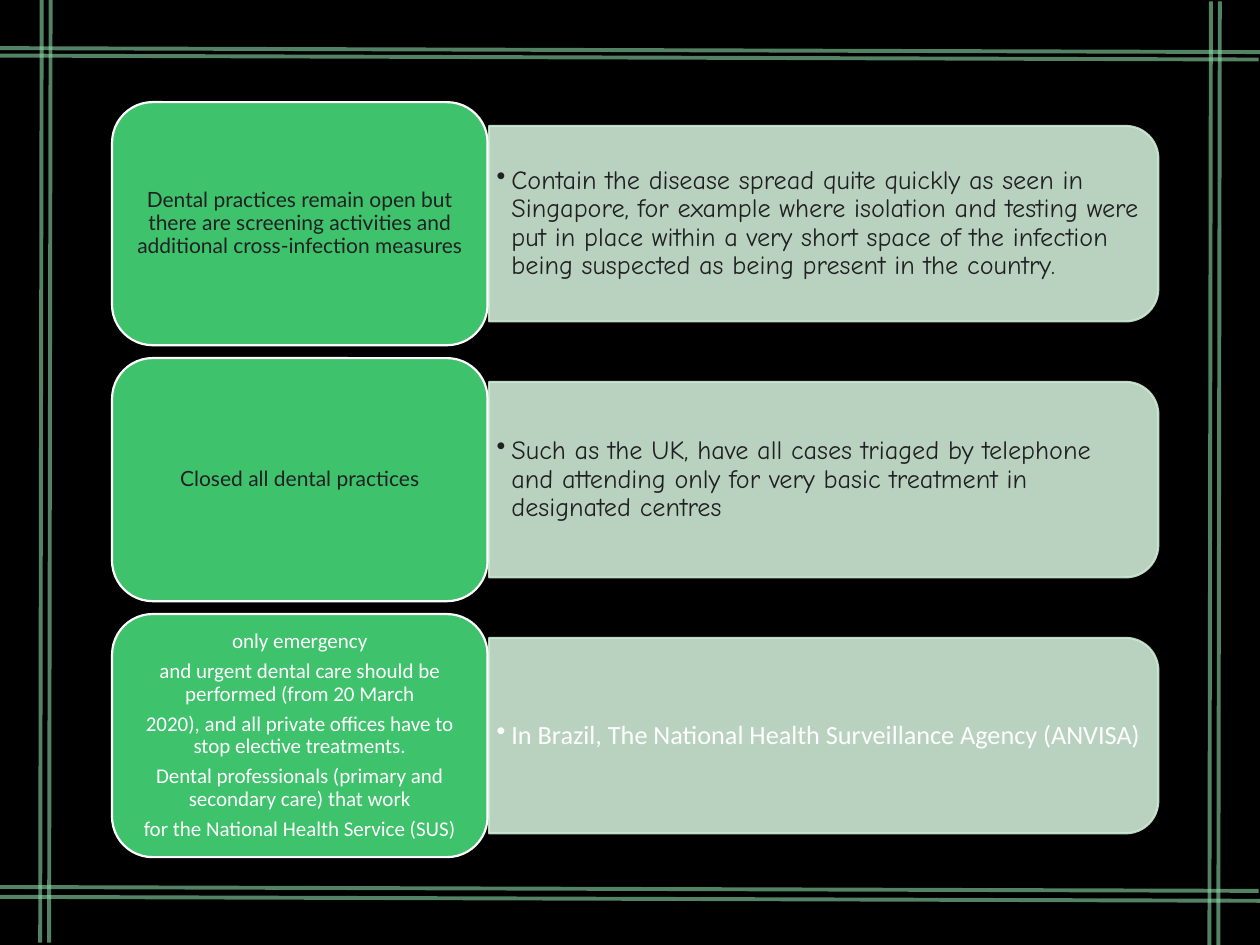
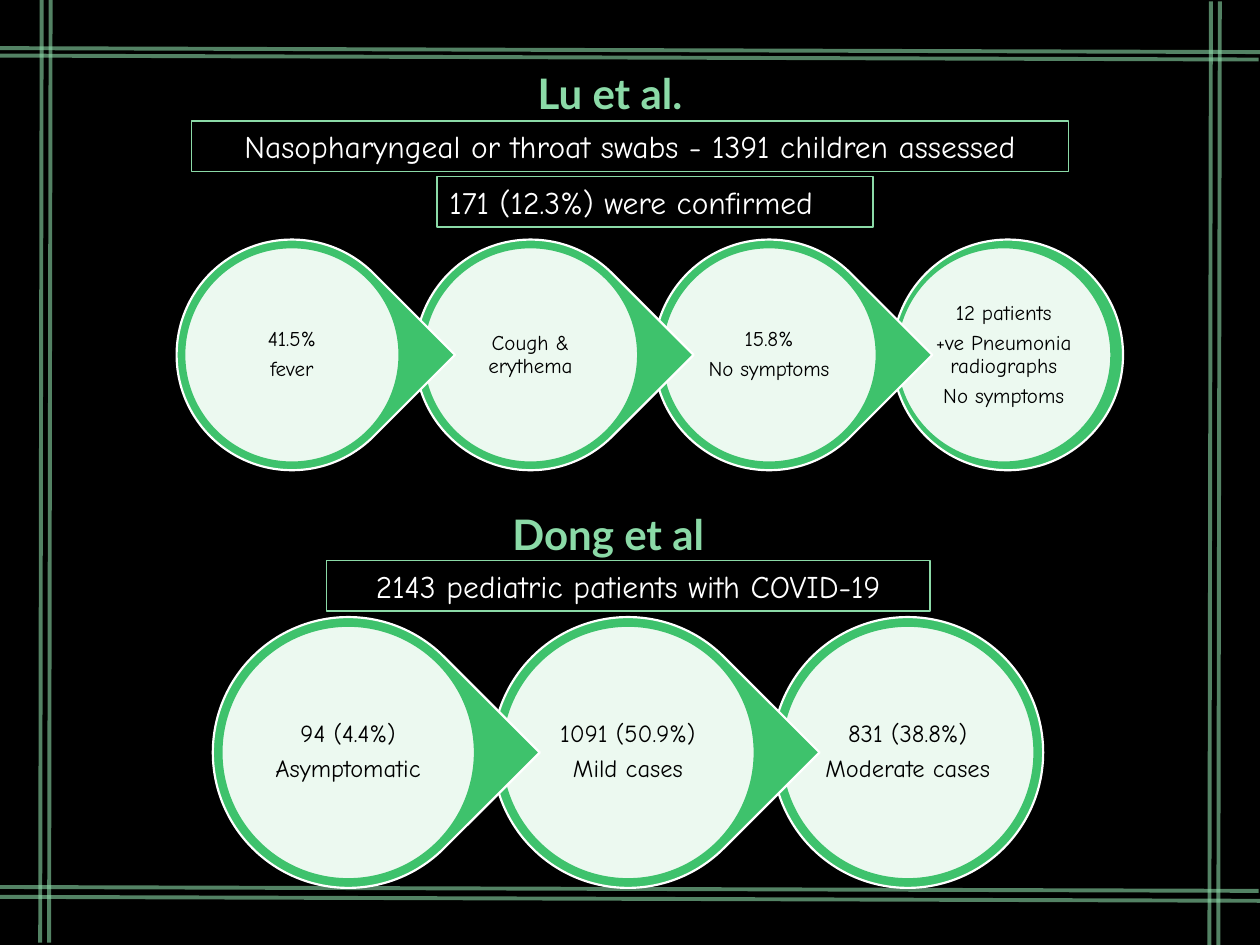
from dataclasses import dataclass
from typing import NamedTuple

from lxml.etree import SubElement
from pptx import Presentation
from pptx.dml.color import RGBColor
from pptx.enum.shapes import MSO_CONNECTOR, MSO_SHAPE
from pptx.enum.text import MSO_ANCHOR, MSO_AUTO_SIZE, PP_ALIGN
from pptx.oxml.ns import qn
from pptx.util import Cm, Pt


class TextStyle(NamedTuple):
    font: str
    size: float
    color: str
    bold: bool = False


@dataclass(frozen=True)
class Theme:
    background: str = "000000"
    mint: str = "8BDAA7"
    green: str = "3EC26C"
    pale: str = "CEE9D4"
    white: str = "FFFFFF"
    frame_width: float = 2.25
    outline_width: float = 1.25
    label_width: float = 0.75
    frame_opacity: int = 60
    soft_opacity: int = 90
    heading: TextStyle = TextStyle("Lato", 24, "8BDAA7", True)
    label: TextStyle = TextStyle("Comic Neue", 18, "FFFFFF")
    card: TextStyle = TextStyle("Lato", 12, "212123")
    card_light: TextStyle = TextStyle("Calibri", 12, "FFFFFF")
    detail: TextStyle = TextStyle("Comic Neue", 15, "212123")
    detail_light: TextStyle = TextStyle("Calibri", 15, "FFFFFF")
    circle_small: TextStyle = TextStyle("Comic Neue", 12, "000000")
    circle_large: TextStyle = TextStyle("Comic Neue", 14, "000000")


THEME = Theme()


class Box(NamedTuple):
    """Left, top, width and height in centimetres."""
    left: float
    top: float
    width: float
    height: float

    def lengths(self) -> list:
        return [Cm(value) for value in self]


class FrameLine(NamedTuple):
    left: float
    top: float
    run: float
    rise: float


class Response(NamedTuple):
    measures: list[str]
    detail: str
    card_style: TextStyle = THEME.card
    detail_style: TextStyle = THEME.detail


class Label(NamedTuple):
    box: Box
    text: str
    align: PP_ALIGN = PP_ALIGN.CENTER


class CircleChain(NamedTuple):
    left: float
    top: float
    diameter: float
    inner: float
    pitch: float
    style: TextStyle
    findings: list[list[str]]
    last_shift: float = 0


FRAME = (
    [FrameLine(left, top, -0.03, 19.05)
     for left, top in [(0.84, -0.05), (1.02, -0.05), (24.41, 0.03), (24.59, 0.03)]]
    + [FrameLine(left, top, 25.4, 0.08)
       for left, top in [(0, 0.97), (0, 18.08), (-0.03, 1.12), (-0.03, 17.88)]]
)

CARD = Box(2.26, 2.06, 7.57, 4.9)
PANEL = Box(9.86, 2.54, 13.49, 3.94)
ROW_PITCH = 5.16
RESPONSES = [
    Response(
        ["Dental practices remain open but there are screening activities "
         "and additional cross-infection measures"],
        "Contain the disease spread quite quickly as seen in Singapore, for example "
        "where isolation and testing were put in place within a very short space of "
        "the infection being suspected as being present in the country."),
    Response(
        ["Closed all dental practices"],
        "Such as the UK, have all cases triaged by telephone and attending only "
        "for very basic treatment in designated centres"),
    Response(
        ["only emergency",
         "and urgent dental care should be performed (from 20 March",
         "2020), and all private offices have to stop elective treatments.",
         "Dental professionals (primary and secondary care) that work",
         "for the National Health Service (SUS)"],
        "In Brazil, The National Health Surveillance Agency (ANVISA)",
        THEME.card_light, THEME.detail_light),
]

LU_HEADING = Box(10.59, 1.24, 4.06, 1.27)
DONG_HEADING = Box(10.08, 10.13, 5, 1.27)
LABELS = [
    Label(Box(3.86, 2.44, 17.68, 1.02),
          "Nasopharyngeal or throat swabs - 1391 children assessed"),
    Label(Box(8.81, 3.56, 8.79, 1.02), "171 (12.3%) were confirmed", PP_ALIGN.LEFT),
    Label(Box(6.58, 11.3, 12.17, 1.02), "2143 pediatric patients with COVID-19"),
]
CHAINS = [
    CircleChain(3.56, 4.83, 4.65, 4.34, 4.81, THEME.circle_small,
                [["41.5%", "fever"],
                 ["Cough & erythema"],
                 ["15.8%", "No symptoms"],
                 ["12 patients", "+ve Pneumonia radiographs", "No symptoms"]],
                last_shift=-0.08),
    CircleChain(4.29, 12.44, 5.46, 5.11, 5.64, THEME.circle_large,
                [["94 (4.4%)", "Asymptomatic"],
                 ["1091 (50.9%)", "Mild cases"],
                 ["831 (38.8%)", "Moderate cases"]]),
]


def rgb(color: str) -> RGBColor:
    return RGBColor.from_string(color)


def set_opacity(element, percent: int) -> None:
    for color in element.iter(qn("a:srgbClr")):
        SubElement(color, qn("a:alpha"), val=str(percent * 1000))


def write(frame, lines: list[str], style: TextStyle, align=PP_ALIGN.LEFT,
          anchor=MSO_ANCHOR.TOP, margins=(0.25, 0.13), line_spacing=1.0,
          space_share=0.0) -> None:
    """Fill a text frame; space_share is the gap after a paragraph per type size."""
    frame.text = "\n".join(lines)
    frame.word_wrap = True
    frame.auto_size = MSO_AUTO_SIZE.NONE
    frame.vertical_anchor = anchor
    frame.margin_left = frame.margin_right = Cm(margins[0])
    frame.margin_top = frame.margin_bottom = Cm(margins[1])
    for para in frame.paragraphs:
        para.alignment = align
        para.line_spacing = line_spacing
        para.space_before = Pt(0)
        para.space_after = Pt(style.size * space_share)
        for span in para.runs:
            span.font.name = style.font
            span.font.size = Pt(style.size)
            span.font.bold = style.bold
            span.font.color.rgb = rgb(style.color)


def write_centred(frame, lines: list[str], style: TextStyle, margins) -> None:
    write(frame, lines, style, PP_ALIGN.CENTER, MSO_ANCHOR.MIDDLE, margins, 0.9, 0.35)


def add_shape(page, kind, box: Box, fill: str | None, line: str,
              width: float = THEME.outline_width):
    shape = page.shapes.add_shape(kind, *box.lengths())
    shape.shadow.inherit = False
    if fill:
        shape.fill.solid()
        shape.fill.fore_color.rgb = rgb(fill)
    else:
        shape.fill.background()
    shape.line.color.rgb = rgb(line)
    shape.line.width = Pt(width)
    return shape


def add_frame(page) -> None:
    for left, top, run, rise in FRAME:
        line = page.shapes.add_connector(
            MSO_CONNECTOR.STRAIGHT, Cm(left), Cm(top), Cm(left + run), Cm(top + rise))
        line.line.color.rgb = rgb(THEME.mint)
        line.line.width = Pt(THEME.frame_width)
        properties = line.element.spPr
        set_opacity(properties, THEME.frame_opacity)
        SubElement(properties, qn("a:effectLst"))


def add_page(deck, layout_index: int):
    page = deck.slides.add_slide(deck.slide_layouts[layout_index])
    add_frame(page)
    return page


def add_bullet(para) -> None:
    para.level = 1
    properties = para._p.get_or_add_pPr()
    properties.set("marL", str(Cm(0.3)))
    properties.set("indent", str(Cm(-0.3)))
    SubElement(properties, qn("a:buChar"), char="•")


def add_response(page, response: Response, offset: float) -> None:
    panel_box = PANEL._replace(top=PANEL.top + offset)
    # The panel is a upright shape turned a quarter, so its sides are swapped.
    turn = (PANEL.width - PANEL.height) / 2
    upright = Box(panel_box.left + turn, panel_box.top - turn, PANEL.height, PANEL.width)
    panel = add_shape(page, MSO_SHAPE.ROUND_2_SAME_RECTANGLE, upright,
                      THEME.pale, THEME.pale)
    panel.rotation = 90
    set_opacity(panel.element.spPr, THEME.soft_opacity)

    text_box = Box(panel_box.left, panel_box.top + 0.19, 13.28, PANEL.height - 0.38)
    detail = page.shapes.add_textbox(*text_box.lengths())
    write(detail.text_frame, [response.detail], response.detail_style,
          anchor=MSO_ANCHOR.MIDDLE, margins=(0.15, 0.08),
          line_spacing=0.9, space_share=0.15)
    add_bullet(detail.text_frame.paragraphs[0])

    card = add_shape(page, MSO_SHAPE.ROUNDED_RECTANGLE,
                     CARD._replace(top=CARD.top + offset), THEME.green, THEME.white)
    write_centred(card.text_frame, response.measures, response.card_style, (0.13, 0.08))


def add_chain(page, chain: CircleChain) -> None:
    """Draw from right to left, so that each pointer lies over the next circle."""
    last = len(chain.findings) - 1
    inset = (chain.diameter - chain.inner) / 2
    for index, lines in reversed(list(enumerate(chain.findings))):
        left = chain.left + index * chain.pitch
        kind = MSO_SHAPE.OVAL if index == last else MSO_SHAPE.TEAR
        ring = add_shape(page, kind, Box(left, chain.top, chain.diameter, chain.diameter),
                         THEME.green, THEME.white)
        ring.rotation = 0 if index == last else 45

        shift = chain.last_shift if index == last else 0
        disc = add_shape(page, MSO_SHAPE.OVAL,
                         Box(left + inset + shift, chain.top + inset,
                             chain.inner, chain.inner), THEME.white, THEME.green)
        set_opacity(disc.element.spPr.find(qn("a:solidFill")), THEME.soft_opacity)
        write_centred(disc.text_frame, lines, chain.style, (0.05, 0.05))


def build_responses(deck) -> None:
    page = add_page(deck, 6)
    for row, response in enumerate(RESPONSES):
        add_response(page, response, row * ROW_PITCH)


def build_studies(deck) -> None:
    page = add_page(deck, 5)
    title = page.shapes.title
    title.left, title.top, title.width, title.height = LU_HEADING.lengths()
    write(title.text_frame, ["Lu et al."], THEME.heading)
    heading = page.shapes.add_textbox(*DONG_HEADING.lengths())
    write(heading.text_frame, ["Dong et al"], THEME.heading)
    for label in LABELS:
        shape = add_shape(page, MSO_SHAPE.RECTANGLE, label.box, None, THEME.mint,
                          THEME.label_width)
        write(shape.text_frame, [label.text], THEME.label, label.align)
    for chain in CHAINS:
        add_chain(page, chain)


def main() -> None:
    deck = Presentation()
    deck.slide_width, deck.slide_height = Cm(25.4), Cm(19.05)
    background = deck.slide_master.background.fill
    background.solid()
    background.fore_color.rgb = rgb(THEME.background)
    build_responses(deck)
    build_studies(deck)
    deck.save("out.pptx")


if __name__ == "__main__":
    main()
